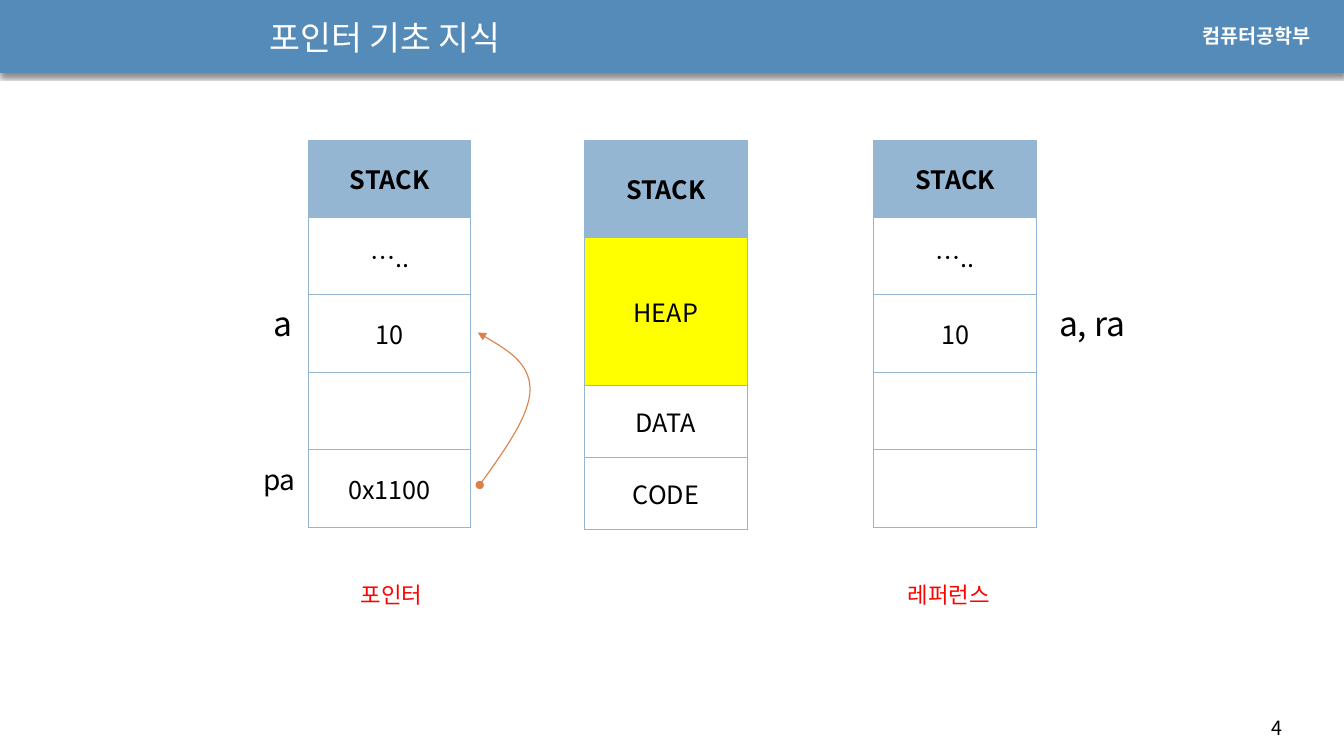
"""Build a slide that compares pointer and reference memory layouts."""
from lxml import etree
from pptx import Presentation
from pptx.dml.color import RGBColor
from pptx.enum.shapes import MSO_SHAPE
from pptx.enum.text import MSO_ANCHOR, MSO_AUTO_SIZE, PP_ALIGN
from pptx.oxml import parse_xml
from pptx.oxml.ns import nsdecls, qn
from pptx.util import Cm, Pt

LEFT, CENTER = PP_ALIGN.LEFT, PP_ALIGN.CENTER
MIDDLE, RECT = MSO_ANCHOR.MIDDLE, MSO_SHAPE.RECTANGLE
FIXED = MSO_AUTO_SIZE.NONE
HEX = {"bar": "558BB8", "head": "94B6D2", "heap": "FFFF00", "arrow": "DD8047",
       "red": "FF0000", "white": "FFFFFF", "black": "000000"}
FONT = "Noto Sans CJK KR"

TITLE = "포인터 기초 지식"
LABELS = [
    ("4", (31.8, 17.91, 1.8, 0.86), {"size": 14}),
    ("컴퓨터공학부", (30.05, 0.48, 3.48, 0.86),
     {"size": 14, "font": "Arial", "color": "white", "bold": True}),
    ("포인터", (8.84, 14.53, 3, 0.94), {"size": 16, "color": "red"}),
    ("레퍼런스", (22.63, 14.53, 3, 0.94), {"size": 16, "color": "red"}),
    ("a", (6.65, 7.52, 0.9, 1.27), {"size": 24}),
    ("pa", (6.38, 11.53, 1.4, 1.12), {"size": 20}),
    ("a, ra", (26.44, 7.52, 2.59, 1.27), {"size": 24}),
]
EVEN = [1.95] * 5
STACKS = [
    (7.77, EVEN, ["STACK", "…..", "10", "", "0x1100"]),
    (14.73, [2.45, 3.74, 1.81, 1.81], ["STACK", "HEAP", "DATA", "CODE"]),
    (22.02, EVEN, ["STACK", "…..", "10", "", ""]),
]
FILLS = {"STACK": "head", "HEAP": "heap"}
TOP, WIDTH = 3.53, 4.1
CURVE = [(12.09, 12.22), (12.73, 11.33), (13.36, 10.44), (13.36, 9.8),
         (13.34, 9.14), (12.7, 8.76), (12.04, 8.38)]


def rgb(name):
    return RGBColor.from_string(HEX[name])


def write(frame, text, size=18, font=FONT, color="black", bold=False, align=LEFT):
    para = frame.paragraphs[0]
    para.alignment = align
    run = para.add_run()
    run.text = text
    run.font.size, run.font.bold, run.font.name = Pt(size), bold, font
    run.font.color.rgb = rgb(color)
    etree.SubElement(run.font._element, qn("a:ea"), typeface=font)


def edge(cell):
    props = cell._tc.get_or_add_tcPr()
    for n, side in enumerate(("lnL", "lnR", "lnT", "lnB")):
        props.insert(n, parse_xml(
            f'<a:{side} {nsdecls("a")} w="{Pt(0.79)}"><a:solidFill>'
            f'<a:srgbClr val="{HEX["head"]}"/></a:solidFill></a:{side}>'))


def stack(slide, left, rows, texts):
    table = slide.shapes.add_table(
        len(rows), 1, Cm(left), Cm(TOP), Cm(WIDTH), Cm(sum(rows))).table
    table.first_row = table.horz_banding = False
    for n, (tall, text) in enumerate(zip(rows, texts)):
        table.rows[n].height = Cm(tall)
        cell = table.cell(n, 0)
        cell.vertical_anchor = MIDDLE
        if text in FILLS:
            cell.fill.solid()
            cell.fill.fore_color.rgb = rgb(FILLS[text])
        else:
            cell.fill.background()
        if text:
            write(cell.text_frame, text, bold=n == 0, align=CENTER)
        edge(cell)


def arrow(slide):
    start, *rest = [(Cm(x), Cm(y)) for x, y in CURVE]
    pen = slide.shapes.build_freeform(*start)
    pen.add_line_segments(rest, close=False)
    shape = pen.convert_to_shape()
    shape.shadow.inherit = False
    shape.fill.background()
    shape.line.color.rgb = rgb("arrow")
    shape.line.width = Pt(0.79)
    line = shape.line._get_or_add_ln()
    etree.SubElement(line, qn("a:headEnd"), type="oval")
    etree.SubElement(line, qn("a:tailEnd"), type="triangle")
    steps = list(shape._element.iter(qn("a:lnTo")))
    track = steps[0].getparent()
    for n in range(0, len(steps), 3):
        bend = etree.SubElement(track, qn("a:cubicBezTo"))
        for step in steps[n:n + 3]:
            bend.append(step[0])
            track.remove(step)


def banner(slide):
    bar = slide.shapes.add_shape(RECT, 0, Cm(-0.02), Cm(33.87), Cm(1.86))
    bar.fill.solid()
    bar.fill.fore_color.rgb = rgb("bar")
    bar.line.fill.background()
    bar._element.spPr.append(parse_xml(
        f'<a:effectLst {nsdecls("a")}><a:outerShdw blurRad="{Pt(3)}" '
        f'dist="{Pt(2.4)}" dir="5400000" algn="ctr" rotWithShape="0">'
        f'<a:srgbClr val="{HEX["black"]}"><a:alpha val="45000"/></a:srgbClr>'
        '</a:outerShdw></a:effectLst>'))
    slide.shapes._spTree.insert(2, bar._element)
    title = slide.shapes.title
    title.left, title.top, title.width, title.height = map(
        Cm, (6.53, 0.13, 16.99, 1.6))
    title.text_frame.auto_size = FIXED
    title.text_frame.vertical_anchor = MIDDLE
    write(title.text_frame, TITLE, size=24, color="white")


def main():
    deck = Presentation()
    deck.slide_width, deck.slide_height = Cm(33.87), Cm(19.05)
    slide = deck.slides.add_slide(deck.slide_layouts[5])
    banner(slide)
    for part in STACKS:
        stack(slide, *part)
    for text, spot, style in LABELS:
        frame = slide.shapes.add_textbox(*map(Cm, spot)).text_frame
        frame.word_wrap = True
        write(frame, text, **style)
    arrow(slide)
    deck.save("out.pptx")


if __name__ == "__main__":
    main()
